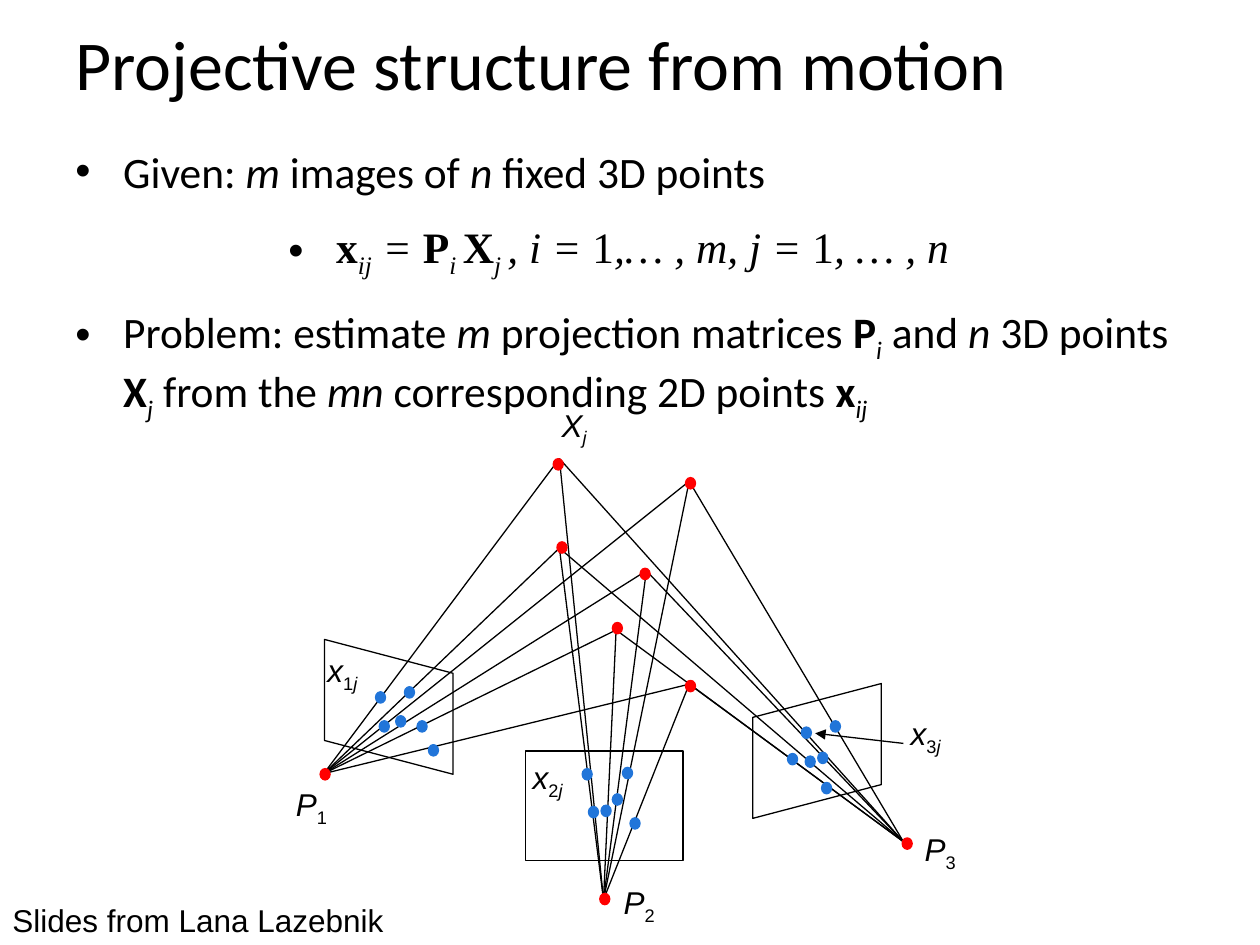
from dataclasses import dataclass
from itertools import product
from typing import NamedTuple

from lxml import etree
from pptx import Presentation
from pptx.dml.color import RGBColor
from pptx.enum.shapes import MSO_CONNECTOR, MSO_SHAPE
from pptx.enum.text import MSO_ANCHOR, PP_ALIGN
from pptx.oxml.ns import qn
from pptx.util import Emu, Pt

PX = 9144
STRAIGHT = MSO_CONNECTOR.STRAIGHT
ELLIPSE, RECTANGLE = MSO_SHAPE.OVAL, MSO_SHAPE.RECTANGLE
PARALLELOGRAM = MSO_SHAPE.PARALLELOGRAM
LEFT, CENTER = PP_ALIGN.LEFT, PP_ALIGN.CENTER
MIDDLE = MSO_ANCHOR.MIDDLE


@dataclass(frozen=True)
class Theme:
    ink: RGBColor = RGBColor(0, 0, 0)
    scene: RGBColor = RGBColor(255, 0, 0)
    projection: RGBColor = RGBColor(0x21, 0x75, 0xD9)
    text_font: str = "Calibri"
    math_font: str = "Times New Roman"
    label_font: str = "Arial"
    title_size: float = 40
    body_size: float = 24.8
    label_size: float = 18
    line_width: float = 0.75


class Piece(NamedTuple):
    text: str
    italic: bool = False
    bold: bool = False
    sub: bool = False


class Bullet(NamedTuple):
    pieces: list[Piece]
    font: str
    align: PP_ALIGN = LEFT
    space_before: float = 0
    right_margin: int = 0


class Label(NamedTuple):
    left: int
    top: int
    width: int
    pieces: list[Piece]


class Plane(NamedTuple):
    kind: MSO_SHAPE
    left: int
    top: int
    width: int
    height: int
    rotation: int = 0
    flipped: bool = False


THEME = Theme()
DOT_WIDTH, DOT_HEIGHT = 8, 9
HANGING = 38
SKEW = 0.263

BULLETS = [
    Bullet([Piece("Given: "), Piece("m", True), Piece(" images of "), Piece("n", True),
            Piece(" fixed 3D points")], THEME.text_font),
    Bullet([Piece("x", bold=True), Piece("ij", True, sub=True), Piece(" = ", True),
            Piece("P", bold=True), Piece("i ", True, sub=True),
            Piece("X", bold=True), Piece("j ", True, sub=True),
            Piece(", i = ", True), Piece("1"), Piece(",… , m, j = ", True),
            Piece("1"), Piece(", … , n", True)],
           THEME.math_font, CENTER, 13.5, 18),
    Bullet([Piece("Problem: estimate "), Piece("m", True), Piece(" projection matrices "),
            Piece("P", bold=True), Piece("i", True, sub=True), Piece(" and "),
            Piece("n", True), Piece(" 3D points "),
            Piece("X", bold=True), Piece("j", True, sub=True), Piece(" from the "),
            Piece("mn", True), Piece(" corresponding 2D points "),
            Piece("x", bold=True), Piece("ij", True, sub=True)],
           THEME.text_font, LEFT, 14.5),
]

RAY_STARTS = [(257, 614), (479, 714), (717, 668)]
RAY_ENDS = [(444, 364), (444, 435), (547, 382), (513, 453), (547, 543), (489, 500)]

PLANES = [
    Plane(RECTANGLE, 417, 596, 125, 87),
    Plane(PARALLELOGRAM, 255, 510, 107, 102, 270),
    Plane(PARALLELOGRAM, 595, 545, 107, 102, 90, True),
]

CAMERA_DOTS = [(254, 610), (476, 709), (716, 665)]
SCENE_DOTS = [(439, 364), (544, 379), (442, 430), (508, 451), (544, 540), (486, 494)]
PROJECTION_DOTS = [
    (298, 549), (321, 545), (314, 568), (331, 572), (340, 591), (301, 572),
    (462, 610), (477, 639), (494, 609), (486, 630), (500, 649), (467, 640),
    (636, 577), (659, 572), (649, 597), (639, 600), (652, 621), (625, 598),
]

IMAGE_LABELS = [(250, 512), (413, 597), (713, 562)]
CAMERA_LABELS = [(225, 618), (485, 696), (724, 654)]
LABELS = [
    Label(436, 317, 47, [Piece("X", True), Piece("j", True, sub=True)]),
    *(Label(left, top, 54, [Piece("x", True), Piece(str(number), sub=True),
                            Piece("j", True, sub=True)])
      for number, (left, top) in enumerate(IMAGE_LABELS, 1)),
    *(Label(left, top, 55, [Piece("P", True), Piece(str(number), sub=True)])
      for number, (left, top) in enumerate(CAMERA_LABELS, 1)),
]


def px(value: int) -> Emu:
    return Emu(value * PX)


def add_runs(paragraph, pieces: list[Piece], font: str, size: float) -> None:
    for piece in pieces:
        run = paragraph.add_run()
        run.text = piece.text
        run.font.name = font
        run.font.size = Pt(size)
        run.font.color.rgb = THEME.ink
        run.font.italic = piece.italic
        run.font.bold = piece.bold
        if piece.sub:
            run._r.get_or_add_rPr().set("baseline", "-25000")


def add_text(slide, left: int, top: int, width: int, height: int, wrap: bool = True):
    box = slide.shapes.add_textbox(px(left), px(top), px(width), px(height))
    box.text_frame.word_wrap = wrap
    return box.text_frame


def set_title(slide, text: str) -> None:
    title = slide.shapes.title
    title.left, title.top, title.width, title.height = px(50), px(0), px(900), px(100)
    title.text_frame.vertical_anchor = MIDDLE
    paragraph = title.text_frame.paragraphs[0]
    paragraph.alignment = LEFT
    add_runs(paragraph, [Piece(text)], THEME.text_font, THEME.title_size)


def add_bullets(slide, bullets: list[Bullet]) -> None:
    frame = add_text(slide, 50, 110, 900, 190)
    for index, bullet in enumerate(bullets):
        paragraph = frame.add_paragraph() if index else frame.paragraphs[0]
        paragraph.alignment = bullet.align
        paragraph.space_before = Pt(bullet.space_before)
        properties = paragraph._p.get_or_add_pPr()
        properties.set("marL", str(px(HANGING)))
        properties.set("marR", str(px(bullet.right_margin)))
        properties.set("indent", str(px(-HANGING)))
        etree.SubElement(properties, qn("a:buFont")).set("typeface", THEME.label_font)
        etree.SubElement(properties, qn("a:buChar")).set("char", "•")
        add_runs(paragraph, bullet.pieces, bullet.font, THEME.body_size)


def add_line(slide, start: tuple[int, int], end: tuple[int, int], arrow: bool = False) -> None:
    line = slide.shapes.add_connector(STRAIGHT, *map(px, start + end))
    line.line.color.rgb = THEME.ink
    line.line.width = Pt(THEME.line_width)
    if arrow:
        etree.SubElement(line.line._get_or_add_ln(), qn("a:tailEnd")).set("type", "triangle")
    etree.SubElement(line._element.spPr, qn("a:effectLst"))


def add_plane(slide, plane: Plane) -> None:
    shape = slide.shapes.add_shape(plane.kind, *map(px, plane[1:5]))
    shape.shadow.inherit = False
    shape.fill.background()
    shape.line.color.rgb = THEME.ink
    shape.line.width = Pt(THEME.line_width)
    shape.rotation = plane.rotation
    if plane.kind == PARALLELOGRAM:
        shape.adjustments[0] = SKEW
    if plane.flipped:
        shape._element.spPr.find(qn("a:xfrm")).set("flipH", "1")


def add_dot(slide, left: int, top: int, color: RGBColor) -> None:
    dot = slide.shapes.add_shape(ELLIPSE, px(left), px(top), px(DOT_WIDTH), px(DOT_HEIGHT))
    dot.shadow.inherit = False
    dot.fill.solid()
    dot.fill.fore_color.rgb = dot.line.color.rgb = color
    dot.line.width = Pt(THEME.line_width)


def add_label(slide, label: Label) -> None:
    frame = add_text(slide, label.left, label.top, label.width, 50, wrap=False)
    add_runs(frame.paragraphs[0], label.pieces, THEME.label_font, THEME.label_size)


def main() -> None:
    presentation = Presentation()
    presentation.slide_width, presentation.slide_height = px(1000), px(750)
    slide = presentation.slides.add_slide(presentation.slide_layouts[5])
    set_title(slide, "Projective structure from motion")
    add_bullets(slide, BULLETS)
    for start, end in product(RAY_STARTS, RAY_ENDS):
        add_line(slide, start, end)
    for plane in PLANES:
        add_plane(slide, plane)
    for left, top in CAMERA_DOTS + SCENE_DOTS:
        add_dot(slide, left, top, THEME.scene)
    for left, top in PROJECTION_DOTS:
        add_dot(slide, left, top, THEME.projection)
    for label in LABELS:
        add_label(slide, label)
    add_line(slide, (717, 590), (647, 582), arrow=True)
    credit = add_text(slide, 0, 710, 417, 40)
    add_runs(credit.paragraphs[0], [Piece("Slides from Lana Lazebnik")],
             THEME.label_font, THEME.label_size)
    presentation.save("out.pptx")


if __name__ == "__main__":
    main()
